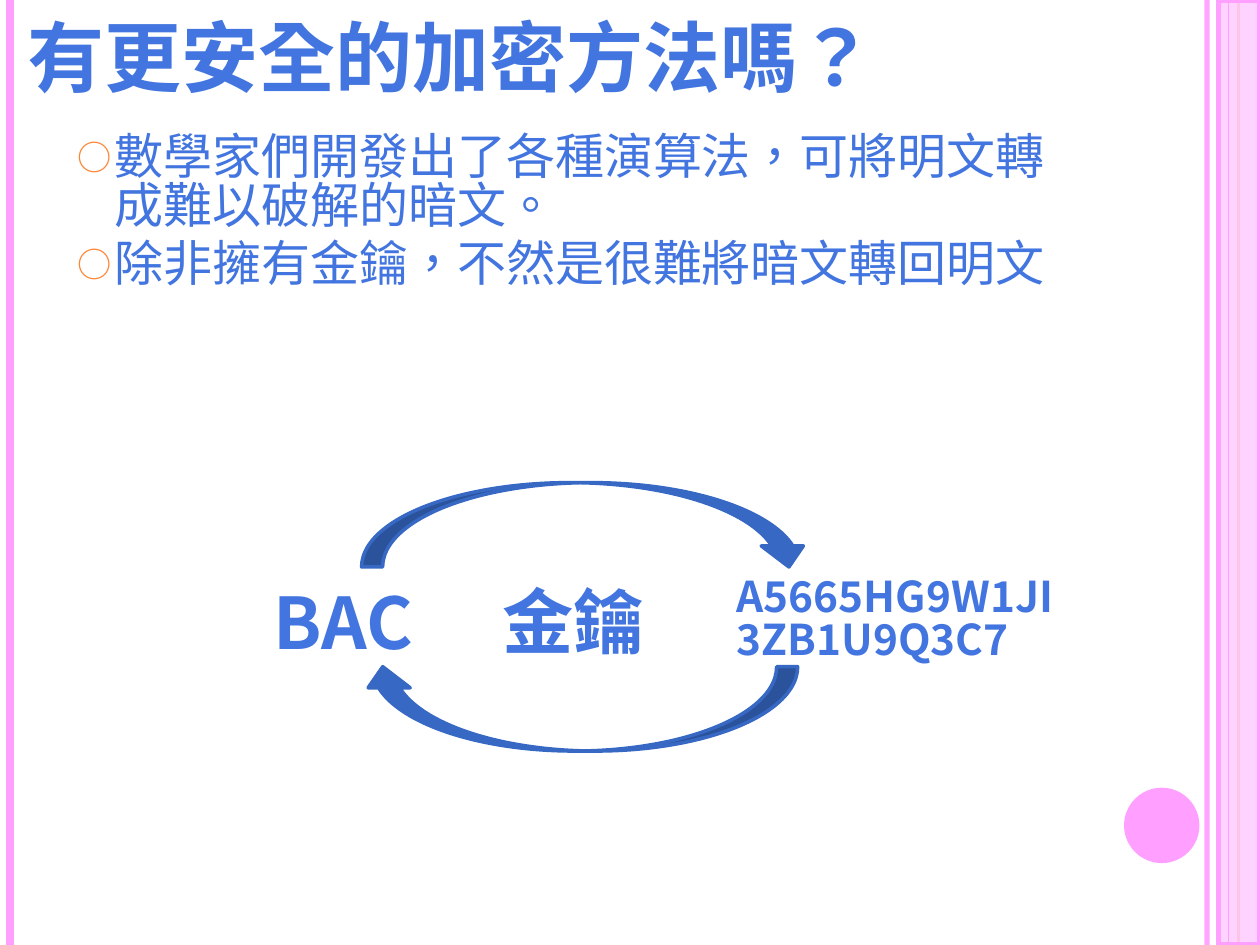
from dataclasses import dataclass

from lxml import etree
from pptx import Presentation
from pptx.dml.color import RGBColor
from pptx.enum.shapes import MSO_CONNECTOR, MSO_SHAPE
from pptx.enum.text import MSO_ANCHOR, MSO_AUTO_SIZE, PP_ALIGN
from pptx.oxml.ns import qn
from pptx.util import Cm, Pt

LINE = MSO_CONNECTOR.STRAIGHT
RECT, OVAL = MSO_SHAPE.RECTANGLE, MSO_SHAPE.OVAL
ARROW = MSO_SHAPE.CURVED_DOWN_ARROW
TOP, BOTTOM = MSO_ANCHOR.TOP, MSO_ANCHOR.BOTTOM
LEFT, FIXED = PP_ALIGN.LEFT, MSO_AUTO_SIZE.NONE

WIDE, HIGH = 25.4, 19.05


@dataclass(frozen=True)
class Theme:
    font: str = "Noto Sans CJK SC"
    text: str = "4275DF"
    arrow: str = "3668C4"
    pink: str = "FF9FFF"
    pale: str = "FFCDFF"
    orange: str = "FE8637"
    title: float = 44
    body: float = 28
    word: float = 40.7
    code: float = 24.2


@dataclass(frozen=True)
class Box:
    x: float
    y: float
    w: float
    h: float


@dataclass(frozen=True)
class Rule:
    x: float
    color: str
    width: float
    alpha: int = 100


@dataclass(frozen=True)
class Label:
    text: str
    box: Box
    size: float
    pitch: float = 1.0


@dataclass(frozen=True)
class Curve:
    box: Box
    turn: int = 0


THEME = Theme()
BACK = [Rule(24.33, THEME.pink, 3, 93), Rule(0.2, THEME.pink, 4.5),
        Rule(24.97, THEME.orange, 1.5)]
FRONT = Rule(24.77, THEME.pink, 0.75)
POINTS = ["數學家們開發出了各種演算法，可將明文轉成難以破解的暗文。",
          "除非擁有金鑰，不然是很難將暗文轉回明文"]
LABELS = [
    Label("BAC", Box(5.26, 11.35, 3.48, 2.16), THEME.word),
    Label("金鑰", Box(9.88, 11.33, 3.48, 2.16), THEME.word),
    Label("A5665HG9W1JI3ZB1U9Q3C7", Box(14.6, 11.35, 7.11, 2.16),
          THEME.code, 0.85),
]
CURVES = [Curve(Box(7.29, 9.73, 9.04, 1.7)),
          Curve(Box(7.29, 13.44, 8.79, 1.7), 180)]


def rgb(code: str) -> RGBColor:
    return RGBColor.from_string(code)


def place(shape, box: Box) -> None:
    shape.left, shape.top = Cm(box.x), Cm(box.y)
    shape.width, shape.height = Cm(box.w), Cm(box.h)


def fade(part, alpha: int) -> None:
    """Set the opacity, in percent, of the solid fill inside part."""
    color = next(part.iter(qn("a:srgbClr")))
    etree.SubElement(color, qn("a:alpha")).set("val", str(alpha * 1000))


def style(para, size: float, bold: bool) -> None:
    para.alignment = LEFT
    font = para.font
    font.name, font.size, font.bold = THEME.font, Pt(size), bold
    font.color.rgb = rgb(THEME.text)
    props = para._p.pPr.find(qn("a:defRPr"))
    props.set("lang", "zh-TW")
    etree.SubElement(props, qn("a:ea")).set("typeface", THEME.font)


def frame(shape, anchor):
    text = shape.text_frame
    text.word_wrap, text.auto_size = True, FIXED
    text.vertical_anchor = anchor
    return text


def bullet(para) -> None:
    props = para._p.get_or_add_pPr()
    props.set("marL", str(Cm(0.76)))
    props.set("indent", str(Cm(-0.76)))
    color = etree.SubElement(props, qn("a:buClr"))
    etree.SubElement(color, qn("a:srgbClr")).set("val", THEME.orange)
    etree.SubElement(props, qn("a:buSzPct")).set("val", "70000")
    etree.SubElement(props, qn("a:buFont")).set("typeface", THEME.font)
    etree.SubElement(props, qn("a:buChar")).set("char", "○")


def draw_rule(slide, rule: Rule) -> None:
    line = slide.shapes.add_connector(
        LINE, Cm(rule.x), Cm(0), Cm(rule.x), Cm(HIGH))
    line.line.color.rgb = rgb(rule.color)
    line.line.width = Pt(rule.width)
    etree.SubElement(line._element.spPr, qn("a:effectLst"))
    if rule.alpha < 100:
        fade(line._element.spPr, rule.alpha)


def draw_shape(slide, kind, box: Box, fill: str, edge: str = "",
               width: float = 0):
    shape = slide.shapes.add_shape(kind, 0, 0, 0, 0)
    place(shape, box)
    shape.shadow.inherit = False
    shape.fill.solid()
    shape.fill.fore_color.rgb = rgb(fill)
    if edge:
        shape.line.color.rgb = rgb(edge)
        shape.line.width = Pt(width)
    else:
        shape.line.fill.background()
    return shape


def draw_label(slide, label: Label) -> None:
    shape = slide.shapes.add_textbox(0, 0, 0, 0)
    place(shape, label.box)
    para = frame(shape, BOTTOM).paragraphs[0]
    para.text, para.line_spacing = label.text, label.pitch
    style(para, label.size, True)


def main() -> None:
    deck = Presentation()
    deck.slide_width, deck.slide_height = Cm(WIDE), Cm(HIGH)
    slide = deck.slides.add_slide(deck.slide_layouts[1])

    # Side bands and dot
    for rule in BACK:
        draw_rule(slide, rule)
    band = draw_shape(slide, RECT, Box(24.56, 0, 0.84, HIGH),
                      THEME.pale, THEME.pink, 3)
    fade(band._element.spPr, 87)
    draw_rule(slide, FRONT)
    draw_shape(slide, OVAL, Box(22.66, 15.88, 1.52, 1.52), THEME.pink)

    # Title
    title = slide.shapes.title
    place(title, Box(0.3, 0.03, 20.75, 2.16))
    head = frame(title, BOTTOM).paragraphs[0]
    head.text = "有更安全的加密方法嗎？"
    style(head, THEME.title, True)

    # Bullet list
    body = slide.placeholders[1]
    place(body, Box(1.3, 2.62, 20.75, 13.5))
    text = frame(body, TOP)
    for i, point in enumerate(POINTS):
        para = text.add_paragraph() if i else text.paragraphs[0]
        para.text = point
        bullet(para)
        para.line_spacing = 0.82
        para.space_before = Pt(6 if i else 0)
        style(para, THEME.body, False)

    # Cipher loop
    for label in LABELS:
        draw_label(slide, label)
    for curve in CURVES:
        arrow = draw_shape(slide, ARROW, curve.box, THEME.arrow,
                           THEME.arrow, 2)
        arrow.rotation = curve.turn

    deck.save("out.pptx")


if __name__ == "__main__":
    main()
